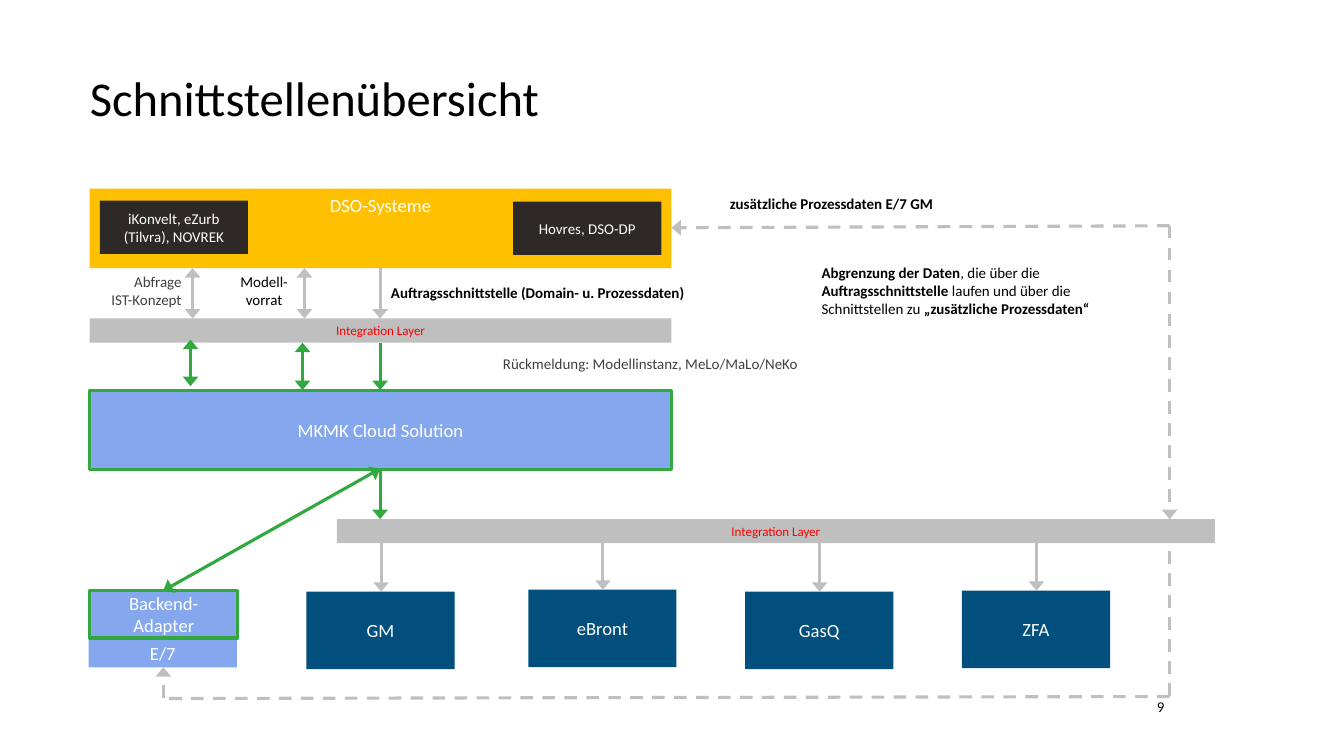
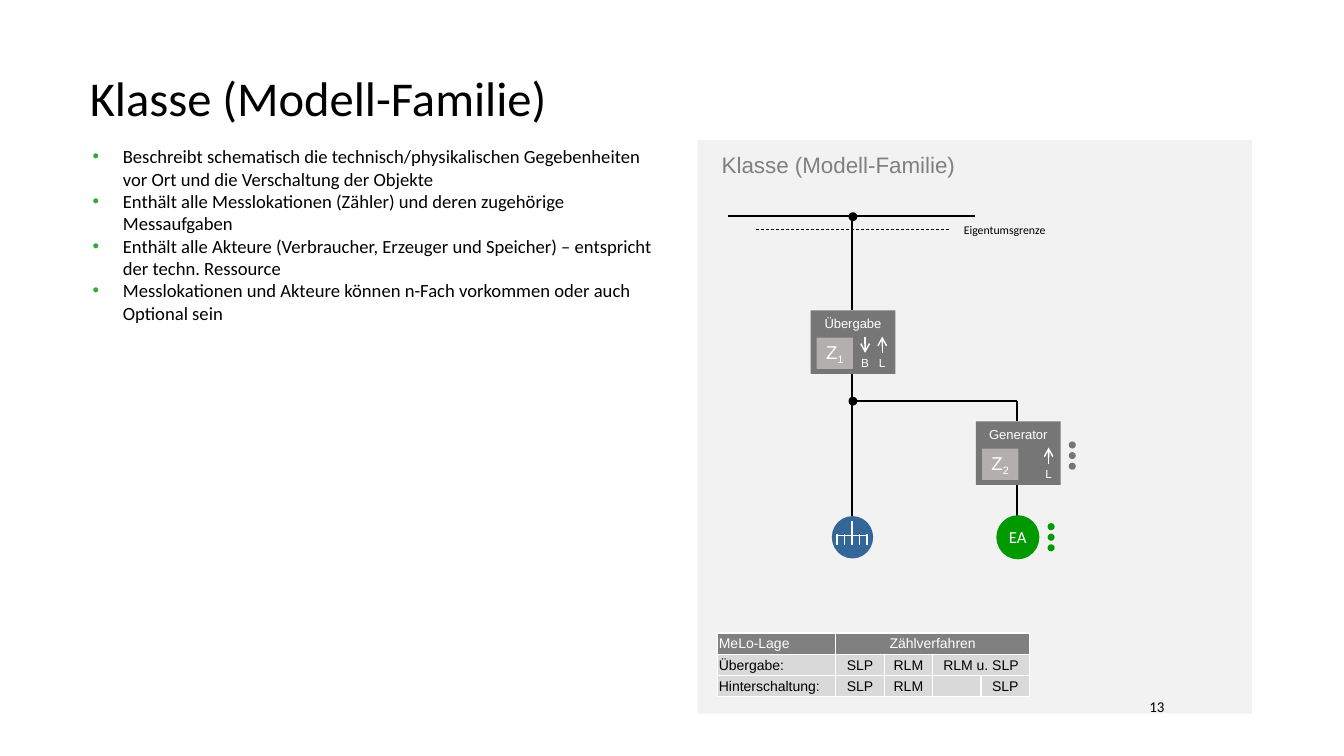
from dataclasses import dataclass

from lxml import etree
from pptx import Presentation
from pptx.dml.color import RGBColor
from pptx.enum.dml import MSO_LINE
from pptx.enum.shapes import MSO_CONNECTOR, MSO_SHAPE
from pptx.enum.text import MSO_ANCHOR, MSO_AUTO_SIZE, PP_ALIGN
from pptx.oxml.ns import qn
from pptx.util import Inches, Pt

RECT, OVAL = MSO_SHAPE.RECTANGLE, MSO_SHAPE.OVAL
STRAIGHT, DASH = MSO_CONNECTOR.STRAIGHT, MSO_LINE.DASH
LEFT, CENTER, RIGHT = PP_ALIGN.LEFT, PP_ALIGN.CENTER, PP_ALIGN.RIGHT
TOP, MIDDLE = MSO_ANCHOR.TOP, MSO_ANCHOR.MIDDLE
NO_FIT = MSO_AUTO_SIZE.NONE
TITLE_ONLY = 5


@dataclass(frozen=True)
class Theme:
    font: str = "Calibri"
    alt_font: str = "Arial"
    black: str = "000000"
    white: str = "FFFFFF"
    text_gray: str = "404040"
    red: str = "FF0000"
    yellow: str = "FFC000"
    dark: str = "2D2926"
    light_blue: str = "84A7EE"
    navy: str = "014F7D"
    green: str = "31A93F"
    layer_gray: str = "BFBFBF"
    panel: str = "F2F2F2"
    head_gray: str = "808080"
    cell_gray: str = "D9D9D9"
    meter_gray: str = "767676"
    meter_light: str = "B3AFAF"
    plant_green: str = "009900"
    load_blue: str = "336699"
    title: float = 34.7
    heading: float = 16
    body: float = 13.3
    symbol: float = 12
    label: float = 10.7
    table: float = 10
    small: float = 9.3
    tiny: float = 8.4
    thick: float = 2.25
    wire: float = 1.25
    thin: float = 1


T = Theme()


def rgb(value):
    return RGBColor.from_string(value)


def write(tf, paragraphs, size, color, align=LEFT, font=T.font, anchor=TOP,
          wrap=True, inset=None):
    tf.auto_size = NO_FIT
    tf.word_wrap = wrap
    tf.vertical_anchor = anchor
    if inset is not None:
        dx, dy = inset
        tf.margin_left = tf.margin_right = Inches(dx)
        tf.margin_top = tf.margin_bottom = Inches(dy)
    if isinstance(paragraphs, str):
        paragraphs = [paragraphs]
    for i, runs in enumerate(paragraphs):
        p = tf.paragraphs[0] if i == 0 else tf.add_paragraph()
        p.alignment = align
        for text, bold in [(runs, False)] if isinstance(runs, str) else runs:
            r = p.add_run()
            r.text = text
            style(r, size, color, font)
            r.font.bold = bold


def style(r, size, color, font):
    r.font.name = font
    r.font.size = Pt(size)
    r.font.color.rgb = rgb(color)


def add_text(shapes, at, paragraphs, size=T.label, color=T.black, **kw):
    sp = shapes.add_textbox(*map(Inches, at))
    write(sp.text_frame, paragraphs, size, color, **kw)
    return sp


def add_box(shapes, at, fill, text=None, size=T.body, color=T.white,
            line=None, width=T.thick, kind=RECT, anchor=MIDDLE, **kw):
    sp = shapes.add_shape(kind, *map(Inches, at))
    sp.shadow.inherit = False
    sp.fill.solid()
    sp.fill.fore_color.rgb = rgb(fill)
    if line:
        sp.line.color.rgb = rgb(line)
        sp.line.width = Pt(width)
    else:
        sp.line.fill.background()
    if text:
        write(sp.text_frame, text, size, color, align=CENTER, anchor=anchor, **kw)
    return sp


def add_line(shapes, start, end, color=T.layer_gray, width=T.thick,
             head=None, tail=None, dash=False):
    c = shapes.add_connector(STRAIGHT, *map(Inches, (*start, *end)))
    c.line.color.rgb = rgb(color)
    c.line.width = Pt(width)
    if dash:
        c.line.dash_style = DASH
    ln = c.line._get_or_add_ln()
    for tag, kind in (("a:headEnd", head), ("a:tailEnd", tail)):
        if kind:
            etree.SubElement(ln, qn(tag), type=kind,
                             w="lg" if kind == "triangle" else "med")
    etree.SubElement(c._element.spPr, qn("a:effectLst"))


def add_arrow(shapes, start, end, color=T.layer_gray, both=False, dash=False):
    add_line(shapes, start, end, color, head="triangle" if both else None,
             tail="triangle", dash=dash)


def add_bullets(p, color):
    pPr = p._p.get_or_add_pPr()
    pPr.set("marL", str(Inches(0.3)))
    pPr.set("indent", str(-Inches(0.3)))
    clr = etree.SubElement(pPr, qn("a:buClr"))
    etree.SubElement(clr, qn("a:srgbClr"), val=color)
    etree.SubElement(pPr, qn("a:buFont"), typeface=T.alt_font)
    etree.SubElement(pPr, qn("a:buChar"), char="•")


def add_slide(prs, title):
    s = prs.slides.add_slide(prs.slide_layouts[TITLE_ONLY])
    sp = s.shapes.title
    sp.left, sp.top, sp.width, sp.height = map(Inches, (0.89, 0.73, 11.55, 0.53))
    write(sp.text_frame, title, T.title, T.black, anchor=MIDDLE, inset=(0, 0))
    sp.text_frame.paragraphs[0].line_spacing = 0.9
    return s


def add_number(shapes, number):
    add_text(shapes, (10.69, 6.92, 0.86, 0.18), number,
             align=RIGHT, anchor=MIDDLE, inset=(0, 0))


def add_layer(shapes, at):
    add_box(shapes, at, T.layer_gray, "Integration Layer", T.small, T.red)


def add_cell_border(cell, color, width):
    tcPr = cell._tc.get_or_add_tcPr()
    for i, side in enumerate(("a:lnL", "a:lnR", "a:lnT", "a:lnB")):
        ln = etree.Element(qn(side), w=str(Pt(width)))
        fill = etree.SubElement(ln, qn("a:solidFill"))
        etree.SubElement(fill, qn("a:srgbClr"), val=color)
        tcPr.insert(i, ln)


def add_grid(shapes, at, widths, rows, spans):
    table = shapes.add_table(len(rows), len(widths), *map(Inches, at)).table
    table.first_row = table.horz_banding = False
    for col, width in zip(table.columns, widths):
        col.width = Inches(width)
    for i, texts in enumerate(rows):
        table.rows[i].height = Inches(at[3] / len(rows))
        for j, text in enumerate(texts):
            cell = table.cell(i, j)
            cell.fill.solid()
            cell.fill.fore_color.rgb = rgb(T.cell_gray if i else T.head_gray)
            cell.vertical_anchor = MIDDLE
            cell.margin_left = cell.margin_right = cell.margin_top = Inches(0.01)
            cell.margin_bottom = 0
            add_cell_border(cell, T.white, T.thin)
            p = cell.text_frame.paragraphs[0]
            p.alignment = CENTER if j else LEFT
            if text:
                r = p.add_run()
                r.text = text
                style(r, T.table, T.black if i else T.white, T.alt_font)
            else:
                etree.SubElement(p._p, qn("a:endParaRPr"), sz=str(T.table * 100))
    for row, first, last in spans:
        table.cell(row, first).merge(table.cell(row, last))


def add_meter(shapes, x, y, name, number, directions):
    g = shapes.add_group_shape().shapes
    add_box(g, (x, y, 0.84, 0.63), T.meter_gray, name, T.small, anchor=TOP,
            font=T.alt_font, inset=(0.05, 0.05))
    sp = add_box(g, (x + 0.06, y + 0.27, 0.36, 0.31), T.meter_light,
                 [[("Z", False), (number, False)]], font=T.alt_font, inset=(0.05, 0.07))
    sp.text_frame.paragraphs[0].runs[1].font._element.set("baseline", "-25000")
    for dx, label, up in directions:
        ends = [(x + dx, y + 0.42), (x + dx, y + 0.26)]
        add_line(g, *(ends if up else ends[::-1]), T.white, T.thin, tail="arrow")
        add_text(g, (x + dx - 0.09, y + 0.4, 0.18, 0.24), label, T.tiny, T.white,
                 align=CENTER, font=T.alt_font, wrap=False, inset=(0.05, 0.05))


def add_dots(shapes, x, y, color):
    g = shapes.add_group_shape().shapes
    for i in range(3):
        add_box(g, (x, y + i * 0.105, 0.07, 0.07), color, kind=OVAL)


def add_node(shapes, x, y):
    add_box(shapes, (x, y, 0.06, 0.06), T.black, line=T.black, width=2, kind=OVAL)


def add_load(shapes, x, y):
    g = shapes.add_group_shape().shapes
    add_box(g, (x, y, 0.41, 0.42), T.load_blue, kind=OVAL)
    strokes = [((x + 0.04, y + 0.19), (x + 0.36, y + 0.19)),
               ((x + 0.2, y + 0.05), (x + 0.2, y + 0.29))]
    strokes += [((x + 0.05 + i * 0.075, y + 0.18), (x + 0.05 + i * 0.075, y + 0.29))
                for i in (0, 1, 3, 4)]
    for start, end in strokes:
        add_line(g, start, end, T.white, T.thin)


def build_interfaces(prs):
    shapes = add_slide(prs, "Schnittstellenübersicht").shapes
    add_box(shapes, (0.89, 1.87, 5.77, 0.79), T.yellow, "DSO-Systeme", anchor=TOP)
    add_box(shapes, (0.99, 1.99, 1.47, 0.53), T.dark,
            "iKonvelt, eZurb (Tilvra), NOVREK", T.label)
    add_box(shapes, (5.09, 2, 1.47, 0.53), T.dark, "Hovres, DSO-DP", T.label)
    add_box(shapes, (0.89, 3.87, 5.77, 0.79), T.light_blue, "MKMK Cloud Solution",
            line=T.green)
    add_box(shapes, (0.88, 6.34, 1.47, 0.28), T.light_blue, "E/7")
    add_box(shapes, (0.89, 5.86, 1.47, 0.47), T.light_blue, "Backend-Adapter",
            line=T.green)
    for name, x, y in (("GM", 3.04, 5.87), ("eBront", 5.24, 5.85),
                       ("GasQ", 7.39, 5.87), ("ZFA", 9.54, 5.86)):
        add_box(shapes, (x, y, 1.47, 0.77), T.navy, name)
        add_arrow(shapes, (x + 0.74, 5.39), (x + 0.74, y))

    for x in (1.91, 3.02):
        add_arrow(shapes, (x, 3.16), (x, 2.66), both=True)
    add_arrow(shapes, (3.77, 2.66), (3.77, 3.16))
    add_layer(shapes, (3.34, 5.15, 8.71, 0.24))
    add_layer(shapes, (0.89, 3.16, 5.77, 0.24))
    for x, top, bottom in ((1.89, 3.37, 3.83), (3, 3.4, 3.87)):
        add_arrow(shapes, (x, bottom), (x, top), T.green, both=True)
    for top, bottom in ((3.4, 3.87), (4.66, 5.15)):
        add_arrow(shapes, (3.77, top), (3.77, bottom), T.green)
    add_arrow(shapes, (3.77, 4.65), (1.62, 5.86), T.green, both=True)

    add_arrow(shapes, (11.6, 2.24), (6.66, 2.26), dash=True)
    add_arrow(shapes, (11.6, 2.24), (11.6, 5.15), dash=True)
    add_arrow(shapes, (1.62, 6.92), (1.62, 6.62), dash=True)
    add_line(shapes, (11.6, 6.9), (11.6, 5.39), dash=True)
    add_line(shapes, (11.6, 6.91), (1.62, 6.93), dash=True)

    add_text(shapes, (0.97, 2.66, 0.93, 0.46), ["Abfrage", "IST-Konzept"],
             color=T.text_gray, align=RIGHT, wrap=False)
    add_text(shapes, (2.28, 2.66, 0.68, 0.46), ["Modell-", "vorrat"],
             align=CENTER, wrap=False)
    add_text(shapes, (3.78, 2.76, 3.17, 0.28),
             [[("Auftragsschnittstelle (Domain- u. Prozessdaten)", True)]], wrap=False)
    add_text(shapes, (4.89, 3.47, 3.16, 0.28),
             "Rückmeldung: Modellinstanz, MeLo/MaLo/NeKo",
             color=T.text_gray, wrap=False)
    add_text(shapes, (7.14, 1.88, 2.25, 0.28),
             [[("zusätzliche Prozessdaten E/7 GM", True)]], wrap=False)
    add_text(shapes, (8.05, 2.57, 2.91, 0.64), [
        [("Abgrenzung der Daten", True), (", die über die", False)],
        [("Auftragsschnittstelle", True), (" laufen und über die", False)],
        [("Schnittstellen zu ", False), ("„zusätzliche Prozessdaten“", True)],
    ], wrap=False)
    add_number(shapes, "9")


def build_model_family(prs):
    shapes = add_slide(prs, "Klasse (Modell-Familie)").shapes
    add_box(shapes, (6.92, 1.39, 5.5, 5.69), T.panel)
    add_text(shapes, (7.06, 1.45, 4.13, 0.37), "Klasse (Modell-Familie)",
             T.heading, T.head_gray, font=T.alt_font)
    body = add_text(shapes, (0.82, 1.39, 5.82, 1.9), [
        "Beschreibt schematisch die technisch/physikalischen Gegebenheiten "
        "vor Ort und die Verschaltung der Objekte",
        "Enthält alle Messlokationen (Zähler) und deren zugehörige Messaufgaben",
        "Enthält alle Akteure (Verbraucher, Erzeuger und Speicher) – entspricht "
        "der techn. Ressource",
        "Messlokationen und Akteure können n-Fach vorkommen oder auch Optional sein",
    ], T.body)
    for p in body.text_frame.paragraphs:
        add_bullets(p, T.green)

    for start, end in (((7.22, 2.14), (9.67, 2.14)), ((8.45, 2.15), (8.45, 3.08)),
                       ((8.45, 3.7), (8.45, 5.12)), ((8.48, 3.98), (10.09, 3.98)),
                       ((10.09, 3.98), (10.09, 4.18)), ((10.09, 4.8), (10.09, 5.12))):
        add_line(shapes, start, end, T.black, T.wire)
    add_line(shapes, (9.41, 2.28), (7.48, 2.28), T.black, 0.5, dash=True)
    add_text(shapes, (9.5, 2.16, 1.15, 0.24), "Eigentumsgrenze", T.tiny,
             anchor=MIDDLE, inset=(0.06, 0.05))
    for y in (2.12, 3.95):
        add_node(shapes, 8.43, y)

    add_meter(shapes, 8.04, 3.08, "Übergabe", "1",
              [(0.54, "B", False), (0.71, "L", True)])
    add_meter(shapes, 9.68, 4.18, "Generator", "2", [(0.72, "L", True)])
    add_load(shapes, 8.25, 5.12)
    add_box(shapes, (9.89, 5.12, 0.41, 0.42), T.plant_green, "EA", T.symbol,
            line=T.plant_green, width=T.wire, kind=OVAL, inset=(0, 0))
    add_dots(shapes, 10.6, 4.38, T.meter_gray)
    add_dots(shapes, 10.39, 5.19, T.plant_green)

    add_grid(shapes, (7.12, 6.28, 3.09, 0.63), [1.17] + [0.48] * 4, [
        ["MeLo-Lage", "Zählverfahren", "", "", ""],
        ["Übergabe:", "SLP", "RLM", "RLM u. SLP", ""],
        ["Hinterschaltung:", "SLP", "RLM", "", "SLP"],
    ], spans=[(0, 1, 4), (1, 3, 4)])
    add_number(shapes, "13")


def main():
    prs = Presentation()
    prs.slide_width, prs.slide_height = Inches(13.33), Inches(7.5)
    build_interfaces(prs)
    build_model_family(prs)
    prs.save("out.pptx")


main()
